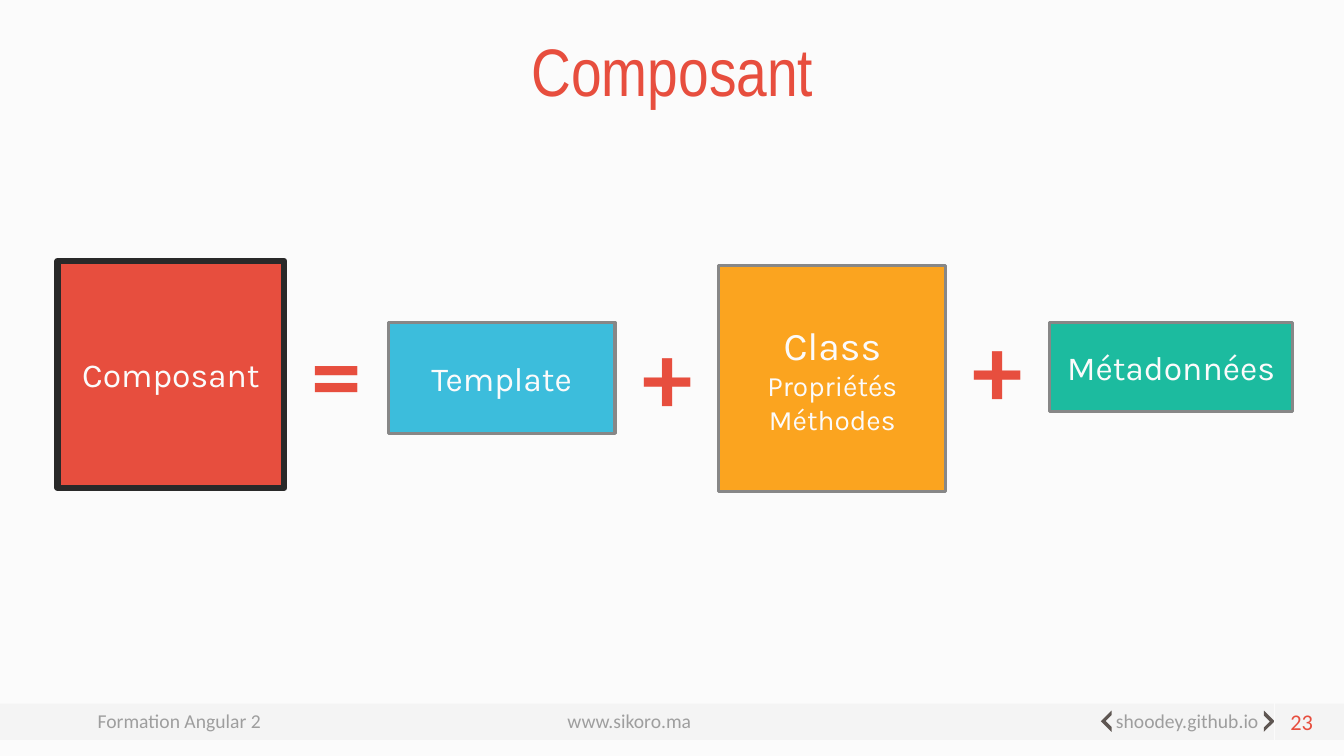
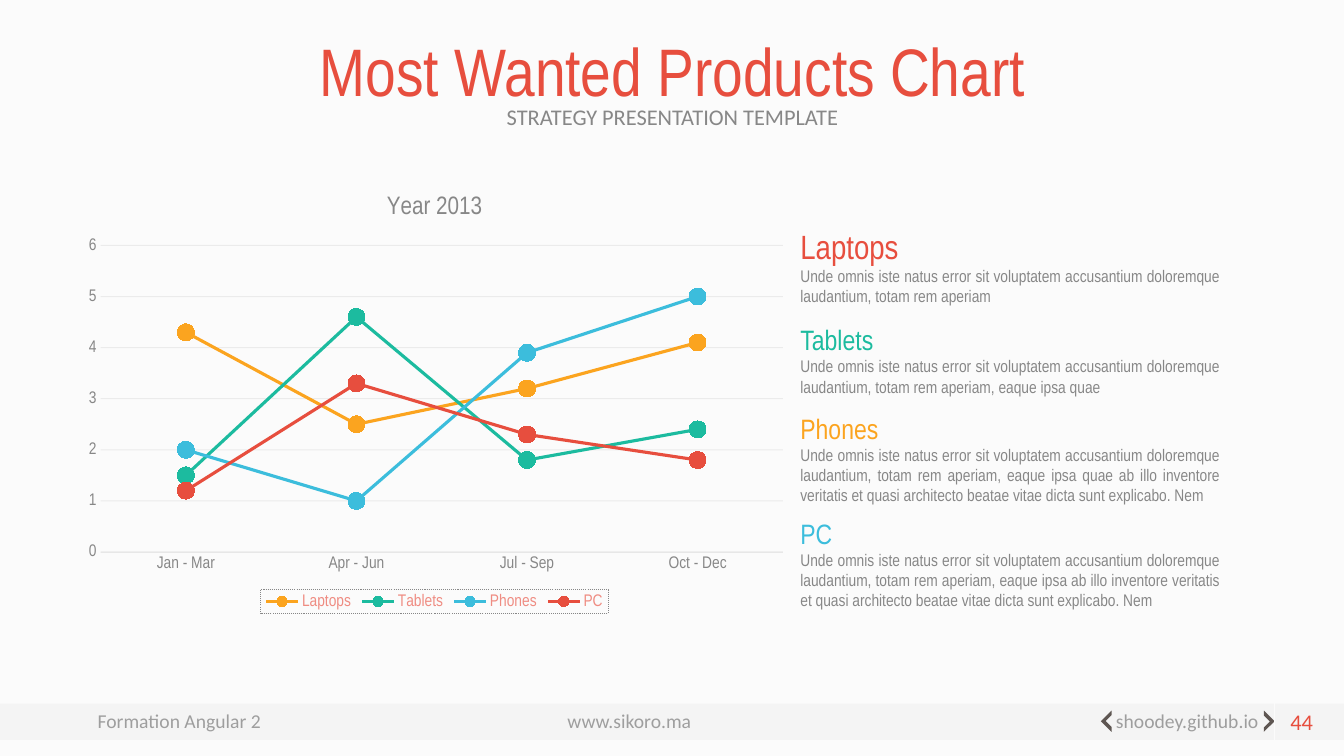
from lxml.etree import SubElement as Sub
from pptx import Presentation
from pptx.chart.data import CategoryChartData as ChartData
from pptx.dml.color import RGBColor as Rgb
from pptx.enum.chart import XL_CHART_TYPE as Kind, XL_LEGEND_POSITION as Spot
from pptx.enum.chart import XL_MARKER_STYLE as Mark, XL_TICK_MARK as Tick
from pptx.enum.shapes import MSO_CONNECTOR as Link, MSO_SHAPE as Form
from pptx.enum.text import MSO_ANCHOR as Anchor, PP_ALIGN as Align
from pptx.oxml import parse_xml
from pptx.oxml.ns import nsdecls, qn
from pptx.util import Inches, Pt

RED, GREEN, BLUE, AMBER = "E74E3E", "1CBB9F", "3CBDDC", "FBA41F"
PALE, GRAY, DARK, RULE = "FBFBFB", "878787", "5E5652", "BCBCBC"
NARROW, PLAIN, ROUND = "Arial Narrow", "Calibri", "Karla"


def apply(item, values):
    for name, value in values.items():
        setattr(item, name, value)


def paint(fill, color, alpha=100):
    fill.solid()
    fill.fore_color.rgb = Rgb.from_string(color)
    if alpha < 100:
        for node in fill._xPr.iter(qn("a:srgbClr")):
            Sub(node, qn("a:alpha")).set("val", str(alpha * 1000))


def stroke(line, color, width, alpha=100):
    paint(line.fill, color, alpha)
    line.width = Pt(width)


def style(font, face, size, color, alpha=100, bold=False):
    apply(font, {"name": face, "size": Pt(size), "bold": bold})
    paint(font.fill, color, alpha)


def write(frame, rows, align=Align.LEFT, anchor=Anchor.TOP, wrap=True, lead=None):
    apply(frame, {"word_wrap": wrap, "vertical_anchor": anchor})
    for i, (words, *look) in enumerate(rows):
        para = frame.add_paragraph() if i else frame.paragraphs[0]
        apply(para, {"alignment": align, "line_spacing": lead})
        run = para.add_run()
        run.text = words
        style(run.font, *look)


def label(slide, box, rows, **opts):
    shape = slide.shapes.add_textbox(*map(Inches, box))
    write(shape.text_frame, rows, **opts)


def block(slide, form, box, color, alpha=100, edge=None):
    shape = slide.shapes.add_shape(form, *map(Inches, box))
    shape.shadow.inherit = False
    paint(shape.fill, color, alpha)
    if edge:
        stroke(shape.line, *edge)
    else:
        shape.line.fill.background()
    return shape


def footer(slide, number, top=6.98):
    block(slide, Form.RECTANGLE, (0, top, 13.33, 0.36), DARK, 4)
    for left, width, words in ((0.87, 1.83, "Formation Angular 2"),
                               (5.53, 1.44, "www.sikoro.ma"),
                               (10.97, 1.64, "shoodey.github.io")):
        label(slide, (left, top, width, 0.34), [(words, PLAIN, 14, GRAY, 79)], wrap=False)
    for left, turn in ((10.95, 315), (12.46, 135)):
        mark = block(slide, Form.HALF_FRAME, (left, top + 0.1, 0.15, 0.15), DARK)
        mark.rotation = turn
        mark.adjustments[0], mark.adjustments[1] = 0.21, 0.23
    ends = map(Inches, (12.64, top - 0.03, 12.64, top + 0.36))
    line = slide.shapes.add_connector(Link.STRAIGHT, *ends)
    stroke(line.line, PALE, 1)
    Sub(line._element.spPr, qn("a:effectLst"))
    label(slide, (12.58, top, 0.54, 0.36), [(number, PLAIN, 16, RED)], align=Align.RIGHT)


def start(deck, number, title, under=None):
    slide = deck.slides.add_slide(deck.slide_layouts[6])
    paint(slide.background.fill, PALE)
    footer(slide, number)
    label(slide, (1.67, 0.16, 10, 0.99), [(title, NARROW, 48, RED)],
          align=Align.CENTER, anchor=Anchor.BOTTOM, lead=0.9)
    if under:
        label(slide, (1.67, 1, 10, 0.49), [(under, PLAIN, 16, GRAY)],
              align=Align.CENTER, lead=0.9)
    return slide


def part(slide, box, color, rows, edge=(GRAY, 2.25), sign=None, rise=0):
    left, top, width, height = box
    if sign:
        label(slide, (left - 0.86, rise, 0.71, 1.31),
              [(sign, PLAIN, 72, RED, 100, True)], wrap=False)
    shape = block(slide, Form.RECTANGLE, box, color, edge=edge)
    write(shape.text_frame, [(words, ROUND, size, PALE) for words, size in rows],
          align=Align.CENTER, anchor=Anchor.MIDDLE)


def formula(slide, left=0.57, step=3.28):
    part(slide, (left, 2.59, 2.25, 2.25), RED, [("Composant", 24)], ("292929", 4.5))
    items = (("=", 3.03, 3.2, 2.25, 1.1, BLUE, [("Template", 24)]),
             ("+", 3.06, 2.63, 2.25, 2.25, AMBER,
              [("Class", 28), ("Propriétés", 20), ("Méthodes", 20)]),
             ("+", 2.99, 3.2, 2.41, 0.88, GREEN, [("Métadonnées", 24)]))
    for i, (sign, rise, top, width, height, color, rows) in enumerate(items, 1):
        part(slide, (left + i * step, top, width, height), color, rows,
             sign=sign, rise=rise)


def axes(chart):
    value, group = chart.value_axis, chart.category_axis
    for axis in (value, group):
        apply(axis, {"major_tick_mark": Tick.NONE, "minor_tick_mark": Tick.NONE})
        style(axis.tick_labels.font, NARROW, 12, GRAY)
    apply(value, {"minimum_scale": 0, "maximum_scale": 6, "major_unit": 1})
    value.format.line.fill.background()
    stroke(value.major_gridlines.format.line, RULE, 0.75, 23)
    stroke(group.format.line, RULE, 0.75, 23)


def legend(chart):
    chart.has_legend = True
    key = chart.legend
    apply(key, {"position": Spot.BOTTOM, "include_in_layout": False})
    style(key.font, NARROW, 12, "EF8C82")
    frame = parse_xml(
        f'<c:spPr {nsdecls("c", "a")}><a:noFill/><a:ln w="9525"><a:solidFill>'
        f'<a:srgbClr val="{GRAY}"/></a:solidFill><a:prstDash val="sysDot"/></a:ln></c:spPr>')
    key._element.find(qn("c:txPr")).addprevious(frame)


def inset(chart, sizes):
    area = chart._chartSpace.chart.plotArea
    for old in area.findall(qn("c:layout")):
        area.remove(old)
    layout = parse_xml(f'<c:layout {nsdecls("c")}><c:manualLayout/></c:layout>')
    pairs = [("layoutTarget", "inner"), ("xMode", "edge"), ("yMode", "edge")]
    for name, value in pairs + list(zip("xywh", sizes)):
        Sub(layout[0], qn("c:" + name)).set("val", str(value))
    area.insert(0, layout)


def graph(slide, box):
    data = ChartData()
    data.categories = ("Jan - Mar", "Apr - Jun", "Jul - Sep", "Oct - Dec")
    for name, values in (("Laptops", (4.3, 2.5, 3.2, 4.1)),
                         ("Tablets", (1.5, 4.6, 1.8, 2.4)),
                         ("Phones", (2, 1, 3.9, 5)),
                         ("PC", (1.2, 3.3, 2.3, 1.8))):
        data.add_series(name, values)
    chart = slide.shapes.add_chart(Kind.LINE_MARKERS, *map(Inches, box), data).chart
    style(chart.font, PLAIN, 10, RED)
    chart.has_title = True
    write(chart.chart_title.text_frame, [("Year 2013", NARROW, 18, GRAY)],
          align=Align.CENTER)
    axes(chart)
    legend(chart)
    inset(chart, (0.04, 0.16, 0.94, 0.7))
    plot = chart.plots[0]
    plot.vary_by_categories = False
    for series, color in zip(plot.series, (AMBER, GREEN, BLUE, RED)):
        series.smooth = False
        stroke(series.format.line, color, 2.25)
        apply(series.marker, {"style": Mark.CIRCLE, "size": 12})
        paint(series.marker.format.fill, color)
        stroke(series.marker.format.line, PALE, 0.75)


def notes(slide, left, width):
    lead = ("Unde omnis iste natus error sit voluptatem accusantium doloremque "
            "laudantium, totam rem aperiam")
    tail = "ab illo inventore veritatis et quasi architecto beatae vitae dicta sunt explicabo. Nem"
    for top, height, name, size, color, rest in (
            (2.19, 0.91, "Laptops", 24, RED, ""),
            (3.15, 0.84, "Tablets", 20, GREEN, ", eaque ipsa quae"),
            (4.03, 1.04, "Phones", 20, AMBER, ", eaque ipsa quae " + tail),
            (5.07, 1.25, "PC", 20, BLUE, ", eaque ipsa " + tail)):
        label(slide, (left, top, width, height),
              [(name, NARROW, size, color), (lead + rest, NARROW, 12, GRAY)],
              align=Align.JUSTIFY)


def main():
    deck = Presentation()
    apply(deck, {"slide_width": Inches(13.33), "slide_height": Inches(7.5)})
    formula(start(deck, "23", "Composant"))
    slide = start(deck, "44", "Most Wanted Products Chart", "STRATEGY PRESENTATION TEMPLATE")
    graph(slide, (0.71, 1.74, 7.2, 4.35))
    notes(slide, 7.84, 4.36)
    deck.save("out.pptx")


if __name__ == "__main__":
    main()
